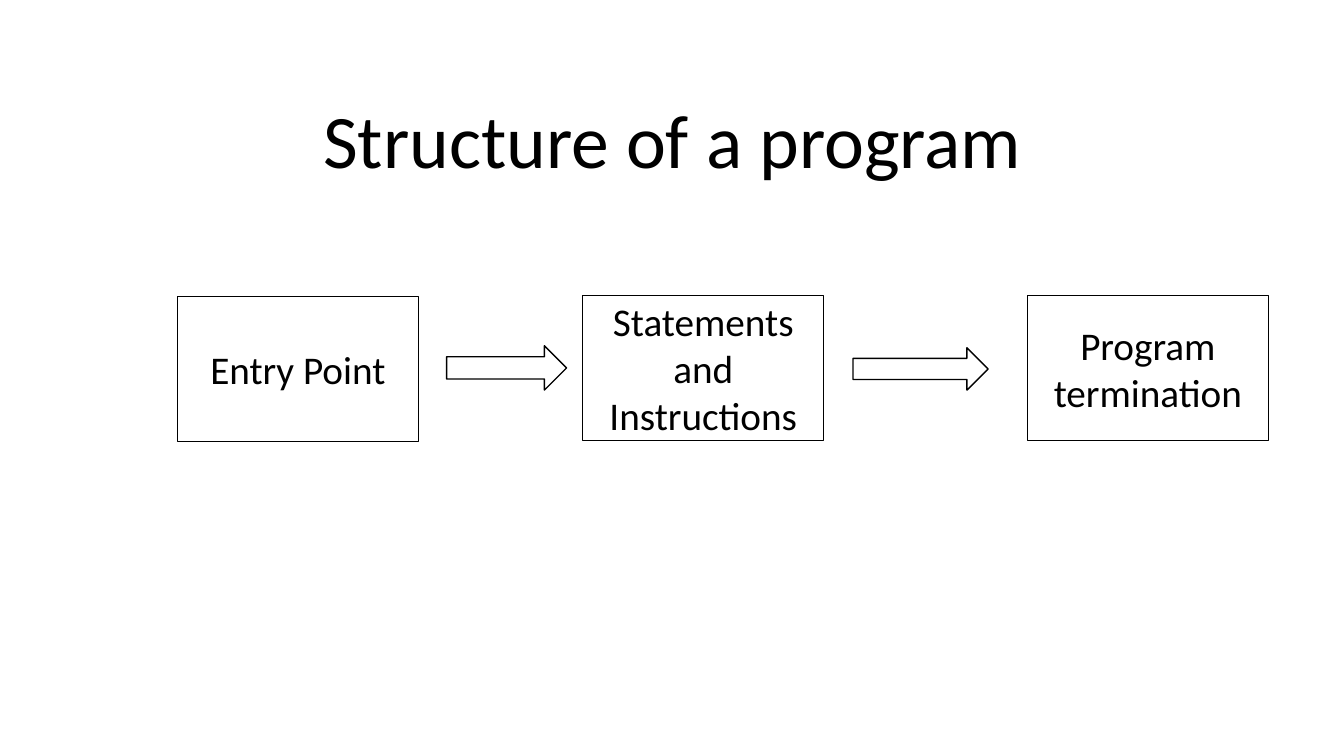
from dataclasses import dataclass

from pptx import Presentation
from pptx.dml.color import RGBColor
from pptx.enum.shapes import MSO_SHAPE
from pptx.enum.text import MSO_ANCHOR, MSO_AUTO_SIZE, PP_ALIGN
from pptx.util import Emu, Inches, Pt

RECT = MSO_SHAPE.RECTANGLE
ARROW = MSO_SHAPE.RIGHT_ARROW
MIDDLE = MSO_ANCHOR.MIDDLE
TOP = MSO_ANCHOR.TOP
CENTER = PP_ALIGN.CENTER
GROW = MSO_AUTO_SIZE.SHAPE_TO_FIT_TEXT
FIXED = MSO_AUTO_SIZE.NONE

COLORS = {"paper": "FFFFFF", "ink": "000000"}
WIDE, HIGH = Inches(13.33), Inches(7.5)

FONT = {"name": "Calibri"}
TITLE_FONT = FONT | {"size": Pt(54)}
STEP_FONT = FONT | {"size": Pt(28)}
TITLE_FRAME = {"word_wrap": False, "auto_size": GROW, "vertical_anchor": TOP}
STEP_FRAME = {"word_wrap": True, "auto_size": FIXED, "vertical_anchor": MIDDLE}


@dataclass
class Area:
    """Place and size in percent of the slide."""
    left: float
    top: float
    width: float
    height: float

    def box(self) -> tuple[Emu, Emu, Emu, Emu]:
        return (Emu(round(WIDE * self.left / 100)), Emu(round(HIGH * self.top / 100)),
                Emu(round(WIDE * self.width / 100)), Emu(round(HIGH * self.height / 100)))


@dataclass
class Part:
    kind: MSO_SHAPE
    area: Area
    text: str = ""


def step(left: float, top: float, text: str) -> Part:
    return Part(RECT, Area(left, top, 17.93, 19.2), text)


# Flow from left to right
TITLE = Area(23.03, 11.6, 54, 13.47)
FLOW = [
    step(13.2, 39.2, "Entry Point"),
    Part(ARROW, Area(33.23, 45.73, 8.93, 5.87)),
    step(43.36, 39.07, "Statements and Instructions"),
    Part(ARROW, Area(63.47, 46, 10.05, 5.6)),
    step(76.44, 39.07, "Program termination"),
]


def color(name: str) -> RGBColor:
    return RGBColor.from_string(COLORS[name])


def style(item, values: dict) -> None:
    for name, value in values.items():
        setattr(item, name, value)


def write(frame, text: str, font: dict, form: dict) -> None:
    style(frame, form)
    para = frame.paragraphs[0]
    para.alignment = CENTER
    run = para.add_run()
    run.text = text
    style(run.font, font)
    run.font.color.rgb = color("ink")


def draw(slide, part: Part) -> None:
    shape = slide.shapes.add_shape(part.kind, *part.area.box())
    shape.shadow.inherit = False
    shape.fill.solid()
    shape.fill.fore_color.rgb = color("paper")
    shape.line.color.rgb = color("ink")
    shape.line.width = Pt(1)
    if part.text:
        write(shape.text_frame, part.text, STEP_FONT, STEP_FRAME)


def main() -> None:
    deck = Presentation()
    style(deck, {"slide_width": WIDE, "slide_height": HIGH})
    slide = deck.slides.add_slide(deck.slide_layouts[6])

    # Title
    title = slide.shapes.add_textbox(*TITLE.box())
    write(title.text_frame, "Structure of a program", TITLE_FONT, TITLE_FRAME)

    # Steps and arrows
    for part in FLOW:
        draw(slide, part)

    deck.save("out.pptx")


if __name__ == "__main__":
    main()
